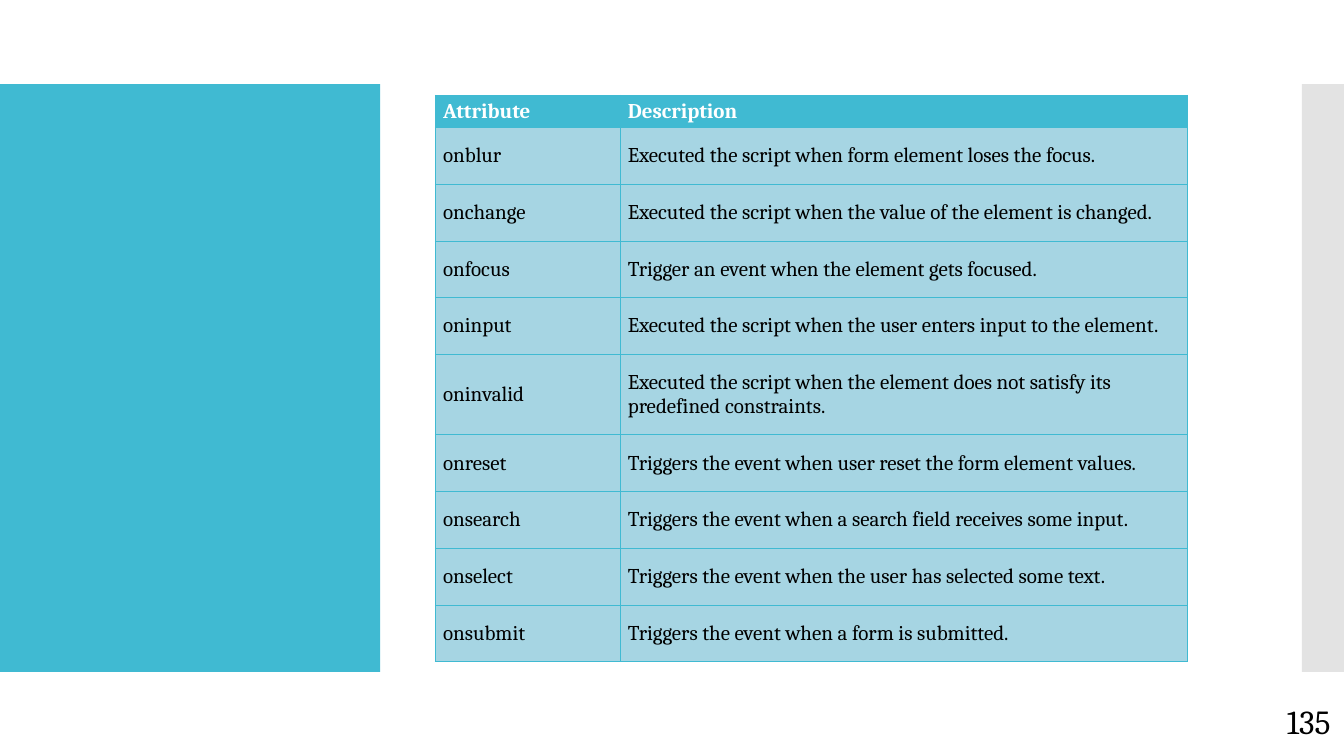
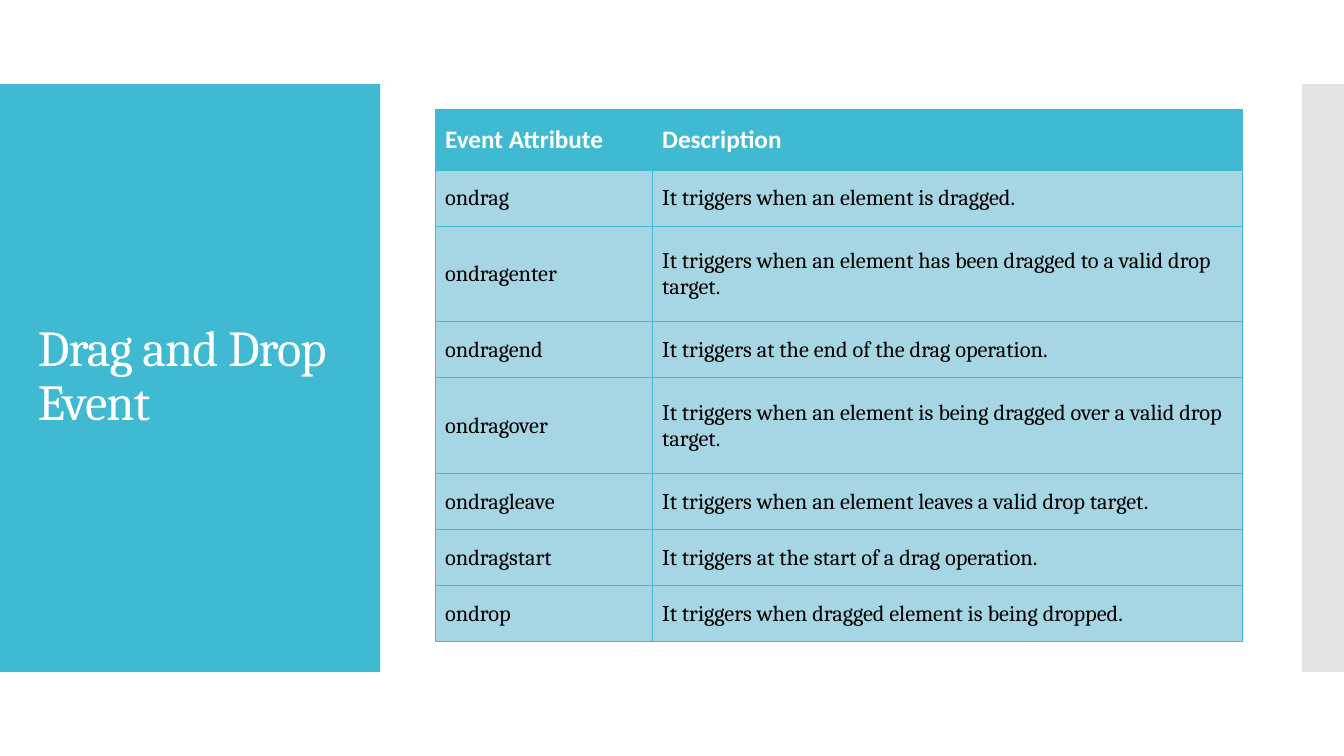
from dataclasses import dataclass

from lxml import etree
from pptx import Presentation
from pptx.dml.color import RGBColor
from pptx.enum.shapes import MSO_SHAPE
from pptx.enum.text import MSO_ANCHOR, PP_ALIGN
from pptx.oxml.ns import qn
from pptx.util import Emu, Pt

RECT = MSO_SHAPE.RECTANGLE
MIDDLE = MSO_ANCHOR.MIDDLE
LEFT, RIGHT = PP_ALIGN.LEFT, PP_ALIGN.RIGHT

SCALE = 6350  # EMU in one px; the slide is 1920 by 1080 px
COLORS = {
    "accent": "40BAD2",
    "cell": "A6D5E3",
    "side": "E3E3E3",
    "light": "FFFFFF",
    "dark": "000000",
}
SERIF, SANS = "Cambria", "Calibri"
EDGES = ("a:lnL", "a:lnR", "a:lnT", "a:lnB")


@dataclass(frozen=True)
class Box:
    left: int
    top: int
    width: int
    height: int

    def emu(self) -> list[Emu]:
        return [px(n) for n in (self.left, self.top, self.width, self.height)]


@dataclass(frozen=True)
class Style:
    size: int
    color: str
    font: str = SERIF
    bold: bool = False


@dataclass(frozen=True)
class Grid:
    top: int
    cols: tuple[int, int]
    head: int  # header row height
    row: int  # height of a one-line row
    tall: int  # height of a two-line row
    long: int  # longest text that stays on one line
    pad: tuple[int, int]  # side and top insets
    styles: tuple[Style, Style]  # header and body
    rows: tuple[tuple[str, str], ...]


LEFT_EDGE = 622
BANDS = ((Box(0, 120, 543, 840), "accent"), (Box(1860, 120, 60, 840), "side"))
TITLE = Box(40, 177, 464, 724)
NUMBER = Box(1675, 1001, 240, 58)

FORM = Grid(
    136, (264, 811), 46, 81, 115, 65, (11, 6),
    (Style(15, "light", bold=True), Style(15, "dark")),
    (
        ("Attribute", "Description"),
        ("onblur", "Executed the script when form element loses the focus."),
        ("onchange", "Executed the script when the value of the element is changed."),
        ("onfocus", "Trigger an event when the element gets focused."),
        ("oninput", "Executed the script when the user enters input to the element."),
        ("oninvalid", "Executed the script when the element does not satisfy its "
                      "predefined constraints."),
        ("onreset", "Triggers the event when user reset the form element values."),
        ("onsearch", "Triggers the event when a search field receives some input."),
        ("onselect", "Triggers the event when the user has selected some text."),
        ("onsubmit", "Triggers the event when a form is submitted."),
    ),
)
DRAG = Grid(
    157, (310, 843), 86, 80, 137, 60, (14, 7),
    (Style(18, "light", SANS, True), Style(16, "dark")),
    (
        ("Event Attribute", "Description"),
        ("ondrag", "It triggers when an element is dragged."),
        ("ondragenter", "It triggers when an element has been dragged to a valid drop target."),
        ("ondragend", "It triggers at the end of the drag operation."),
        ("ondragover", "It triggers when an element is being dragged over a valid drop target."),
        ("ondragleave", "It triggers when an element leaves a valid drop target."),
        ("ondragstart", "It triggers at the start of a drag operation."),
        ("ondrop", "It triggers when dragged element is being dropped."),
    ),
)


def px(n: int) -> Emu:
    return Emu(n * SCALE)


def rgb(name: str) -> RGBColor:
    return RGBColor.from_string(COLORS[name])


def write(frame, text: str, style: Style, align=LEFT) -> None:
    frame.text = text
    line = frame.paragraphs[0]
    line.alignment = align
    font = line.runs[0].font
    font.size, font.name, font.bold = Pt(style.size), style.font, style.bold
    font.color.rgb = rgb(style.color)


def add_text(slide, box: Box, text: str, style: Style, align=LEFT):
    frame = slide.shapes.add_textbox(*box.emu()).text_frame
    frame.word_wrap = True
    frame.vertical_anchor = MIDDLE
    write(frame, text, style, align)
    return frame.paragraphs[0]


def add_title(slide, text: str) -> None:
    line = add_text(slide, TITLE, text, Style(36, "light"))
    line.line_spacing = 0.9
    line.runs[0].font._element.set("spc", "-60")


def add_edges(cell) -> None:
    props = cell._tc.get_or_add_tcPr()
    for edge in EDGES:
        line = etree.SubElement(props, qn(edge), w=str(Pt(0.75)))
        fill = etree.SubElement(line, qn("a:solidFill"))
        etree.SubElement(fill, qn("a:srgbClr"), val=COLORS["accent"])


def add_grid(slide, grid: Grid) -> None:
    highs = [grid.head] + [
        grid.tall if len(text) > grid.long else grid.row for _, text in grid.rows[1:]
    ]
    box = Box(LEFT_EDGE, grid.top, sum(grid.cols), sum(highs))
    table = slide.shapes.add_table(len(highs), len(grid.cols), *box.emu()).table
    table.horz_banding = False
    for col, width in zip(table.columns, grid.cols):
        col.width = px(width)
    side, top = (px(n) for n in grid.pad)
    for i, (high, texts) in enumerate(zip(highs, grid.rows)):
        table.rows[i].height = px(high)
        for j, text in enumerate(texts):
            cell = table.cell(i, j)
            add_edges(cell)
            cell.fill.solid()
            cell.fill.fore_color.rgb = rgb("cell" if i else "accent")
            cell.margin_left = cell.margin_right = side
            cell.margin_top = cell.margin_bottom = top
            cell.vertical_anchor = MIDDLE
            write(cell.text_frame, text, grid.styles[min(i, 1)])


def add_slide(deck):
    slide = deck.slides.add_slide(deck.slide_layouts[6])
    for box, color in BANDS:
        band = slide.shapes.add_shape(RECT, *box.emu())
        band.shadow.inherit = False
        band.fill.solid()
        band.fill.fore_color.rgb = rgb(color)
        band.line.fill.background()
    return slide


def main() -> None:
    deck = Presentation()
    deck.slide_width, deck.slide_height = px(1920), px(1080)

    # Form events
    slide = add_slide(deck)
    add_grid(slide, FORM)
    add_text(slide, NUMBER, "135", Style(24, "dark"), RIGHT)

    # Drag and drop events
    slide = add_slide(deck)
    add_title(slide, "Drag and Drop Event")
    add_grid(slide, DRAG)

    deck.save("out.pptx")


if __name__ == "__main__":
    main()
